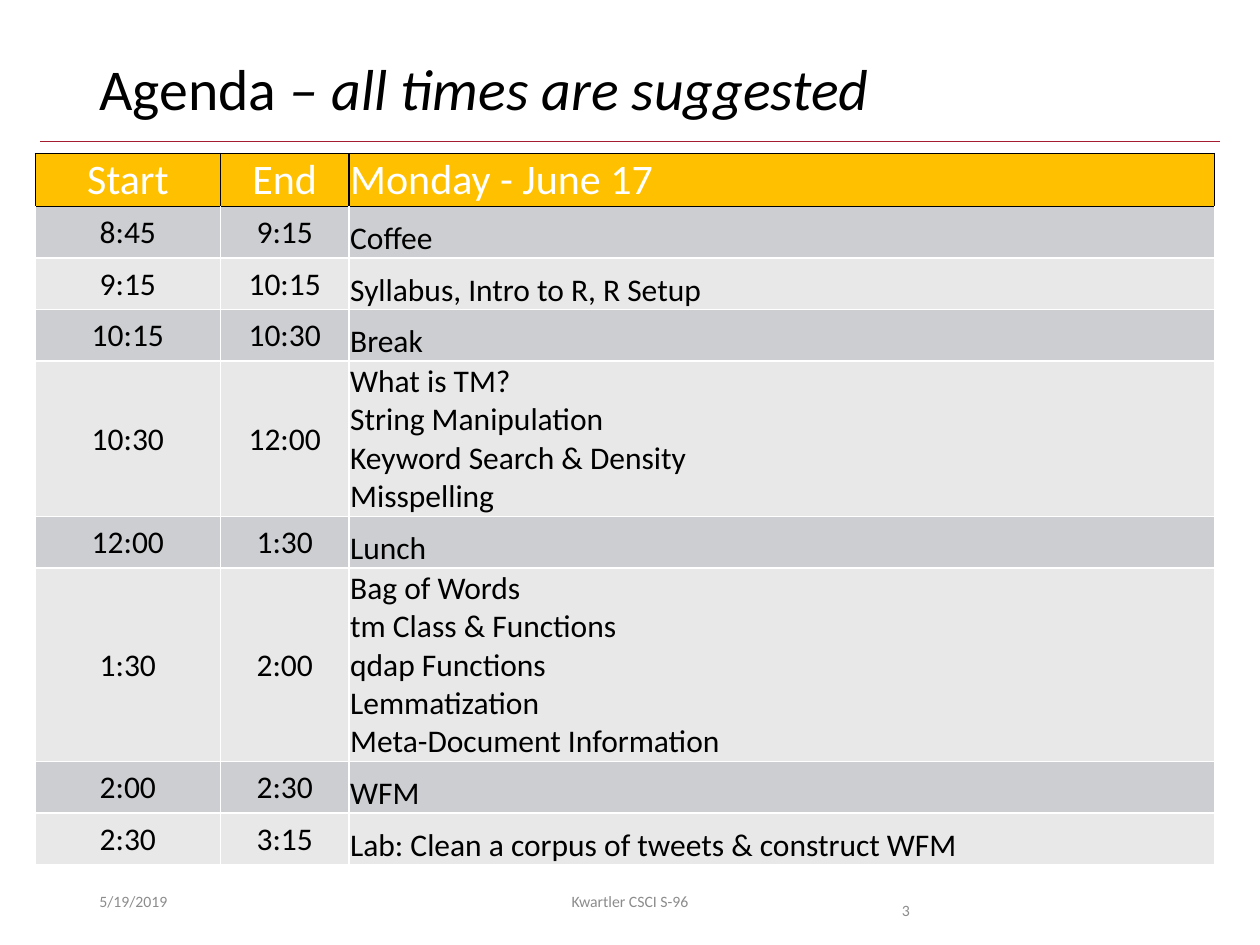
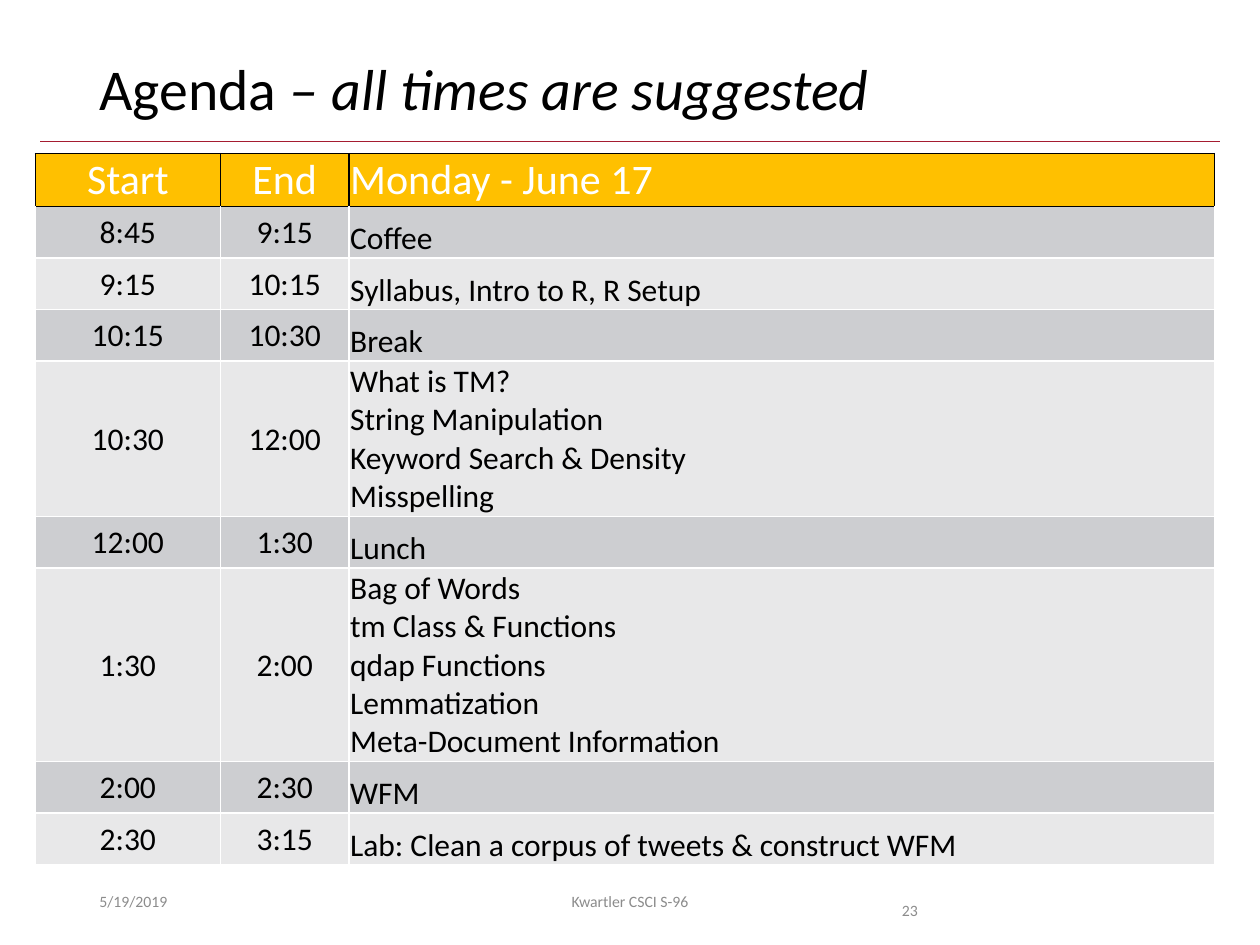
from lxml import etree
from pptx import Presentation
from pptx import util as u
from pptx.dml.color import RGBColor
from pptx.enum import shapes, text
from pptx.oxml import ns
from pptx.util import Inches, Pt

# Shared look
FONT = "Calibri"
BLACK = RGBColor(0x00, 0x00, 0x00)
WHITE = RGBColor(0xFF, 0xFF, 0xFF)
CRIMSON = RGBColor(0xA5, 0x1C, 0x30)
GOLD = RGBColor(0xFF, 0xC0, 0x00)
DARK_BAND = RGBColor(0xCD, 0xCE, 0xD1)
LIGHT_BAND = RGBColor(0xE8, 0xE8, 0xE9)
FOOTER_GREY = RGBColor(0x8C, 0x8C, 0x8C)

# Boxes: left, top, width, height in inches
TITLE_BOX = (0.69, 0.4, 8.62, 0.65)
RULE_BOX = (0.32, 1.12, 9.36, 0)
AGENDA_BOX = (0.28, 1.22, 9.36, 5.56)
FOOTER_BOX = (0.69, 6.95, 7.31, 0.4)

START_WIDTH, END_WIDTH = 1.47, 1.02
ROW_HEIGHT = Inches(0.41)

HEADER = ("Start", "End", "Monday - June 17")
SESSIONS = [
    ("8:45", "9:15", "Coffee"),
    ("9:15", "10:15", "Syllabus, Intro to R, R Setup"),
    ("10:15", "10:30", "Break"),
    ("10:30", "12:00",
     "What is TM?\vString Manipulation\vKeyword Search & Density\nMisspelling"),
    ("12:00", "1:30", "Lunch"),
    ("1:30", "2:00",
     "Bag of Words\ntm Class & Functions\nqdap Functions\n"
     "Lemmatization\nMeta-Document Information"),
    ("2:00", "2:30", "WFM"),
    ("2:30", "3:15", "Lab: Clean a corpus of tweets & construct WFM"),
]
PAGE_NUMBERS = ("3", "23")


def style_text(frame, size, color, align):
    for para in frame.paragraphs:
        para.alignment = align
        for span in para.runs:
            span.font.name = FONT
            span.font.size = Pt(size)
            span.font.color.rgb = color


def place(shape, box):
    shape.left, shape.top, shape.width, shape.height = map(Inches, box)


def add_title(page, box):
    title = page.shapes.title
    place(title, box)
    frame = title.text_frame
    frame.auto_size = text.MSO_AUTO_SIZE.NONE
    frame.vertical_anchor = text.MSO_ANCHOR.MIDDLE
    para = frame.paragraphs[0]
    para.line_spacing = 0.9
    para.add_run().text = "Agenda "
    emphasis = para.add_run()
    emphasis.text = "– all times are suggested"
    emphasis.font.italic = True
    style_text(frame, 33, BLACK, text.PP_ALIGN.LEFT)


def add_rule(page, box):
    left, top, width, height = box
    rule = page.shapes.add_connector(
        shapes.MSO_CONNECTOR.STRAIGHT, Inches(left), Inches(top),
        Inches(left + width), Inches(top + height))
    rule.line.color.rgb = CRIMSON
    rule.line.width = Pt(0.5)
    etree.SubElement(rule._element.spPr, ns.qn("a:effectLst"))


def set_borders(cell, color, top_color):
    props = cell._tc.get_or_add_tcPr()
    for side in "LRTB":
        line = etree.SubElement(props, ns.qn(f"a:ln{side}"), w=str(Pt(1)))
        fill = etree.SubElement(line, ns.qn("a:solidFill"))
        etree.SubElement(fill, ns.qn("a:srgbClr"),
                         val=str(top_color if side == "T" else color))


def fill_cell(cell, words, row, column):
    is_header = row == 0
    cell.text_frame.text = words
    cell.margin_left = cell.margin_right = cell.margin_top = Inches(0.01)
    cell.margin_bottom = 0
    is_topic = column == 2
    cell.vertical_anchor = (text.MSO_ANCHOR.BOTTOM if is_topic and not is_header
                            else text.MSO_ANCHOR.MIDDLE)
    style_text(cell.text_frame, 24 if is_header else 18,
               WHITE if is_header else BLACK,
               text.PP_ALIGN.LEFT if is_topic else text.PP_ALIGN.CENTER)
    set_borders(cell, BLACK if is_header else WHITE, BLACK if row <= 1 else WHITE)
    cell.fill.solid()
    cell.fill.fore_color.rgb = (GOLD if is_header else
                                DARK_BAND if row % 2 else LIGHT_BAND)


def add_agenda(page, box):
    rows = [HEADER] + SESSIONS
    table = page.shapes.add_table(len(rows), len(HEADER), *map(Inches, box)).table
    widths = (START_WIDTH, END_WIDTH, box[2] - START_WIDTH - END_WIDTH)
    for column, width in zip(table.columns, widths):
        column.width = Inches(width)
    for r, words in enumerate(rows):
        line_count = len(words[-1].splitlines())
        table.rows[r].height = u.Emu(max(ROW_HEIGHT, line_count * Pt(22)))
        for c, entry in enumerate(words):
            fill_cell(table.cell(r, c), entry, r, c)


def add_footer(page, box, number):
    left, top, _, height = box
    align, anchor = text.PP_ALIGN, text.MSO_ANCHOR
    # Offset, width, words, alignment, anchor, line spacing
    parts = [
        (0, 2.25, "5/19/2019", align.LEFT, anchor.MIDDLE, 1.0),
        (2.62, 3.38, "Kwartler CSCI S-96", align.CENTER, anchor.MIDDLE, 1.0),
        (6.37, 0.94, number, align.LEFT, anchor.TOP, 2.0),
    ]
    for offset, width, words, alignment, position, spacing in parts:
        part = page.shapes.add_textbox(
            *map(Inches, (left + offset, top, width, height)))
        frame = part.text_frame
        frame.word_wrap = True
        frame.vertical_anchor = position
        frame.text = words
        frame.paragraphs[0].line_spacing = spacing
        style_text(frame, 9, FOOTER_GREY, alignment)


def add_agenda_page(deck, number):
    page = deck.slides.add_slide(deck.slide_layouts.get_by_name("Title Only"))
    add_rule(page, RULE_BOX)
    add_title(page, TITLE_BOX)
    add_agenda(page, AGENDA_BOX)
    add_footer(page, FOOTER_BOX, number)


def main():
    deck = Presentation()
    deck.slide_width, deck.slide_height = Inches(10), Inches(7.5)
    for number in PAGE_NUMBERS:
        add_agenda_page(deck, number)
    deck.save("out.pptx")


if __name__ == "__main__":
    main()
